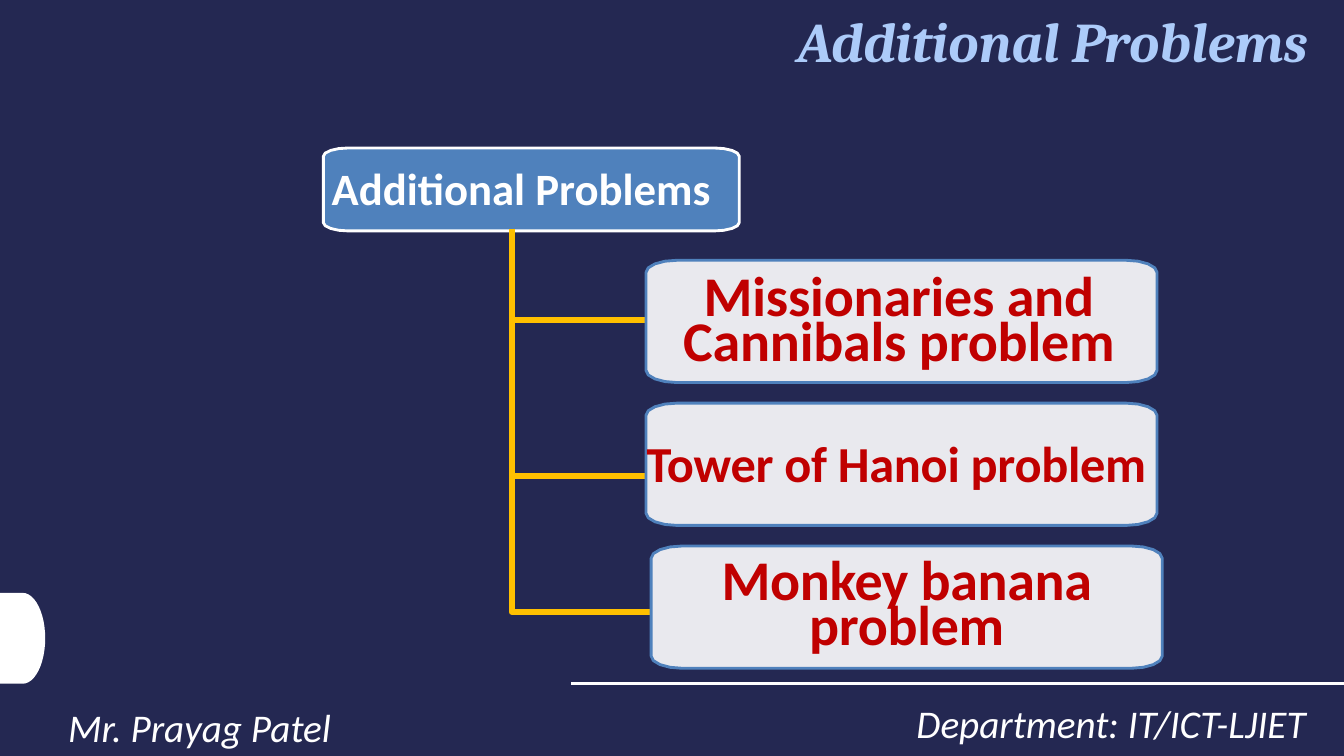
"""Build the Additional Problems slide: a heading box branching to three problems."""
from dataclasses import dataclass
from math import cos, pi, sin

from lxml.etree import SubElement
from pptx import Presentation
from pptx.dml.color import RGBColor
from pptx.enum.shapes import MSO_CONNECTOR, MSO_SHAPE
from pptx.enum.text import MSO_ANCHOR, MSO_AUTO_SIZE, PP_ALIGN
from pptx.oxml.ns import qn
from pptx.util import Cm, Pt

NAVY = RGBColor(0x24, 0x28, 0x52)
WHITE = RGBColor(0xFF, 0xFF, 0xFF)
BLUE = RGBColor(0x4F, 0x81, 0xBC)
AMBER = RGBColor(0xFF, 0xC0, 0x00)
RED = RGBColor(0xC0, 0x00, 0x00)
PALE_BLUE = RGBColor(0xAC, 0xCB, 0xF9)

WIDTH, HEIGHT = 33.87, 19.05
TRUNK_X, TRUNK_TOP = 12.9, 5.77
RULE_Y = 17.22


@dataclass
class Box:
    text: str
    left: float
    top: float
    width: float
    height: float
    size: float
    inset_top: float
    inset_right: float
    fill: RGBColor
    line: RGBColor
    color: RGBColor
    opacity: int = 100
    spacing: float | None = None
    tracking: int = 0


@dataclass
class Problem:
    text: str
    left: float
    size: float
    inset_top: float
    inset_right: float
    branch_y: float
    tracking: int


@dataclass
class Footer:
    text: str
    left: float
    top: float
    width: float
    inset_right: float
    align: PP_ALIGN


PROBLEMS = [
    Problem("Missionaries and Cannibals problem", 16.28, 40, 0.58, 0.13, 8.06, -10),
    Problem("Tower of Hanoi problem", 16.28, 36, 1.12, 0.25, 11.99, -20),
    Problem("Monkey banana problem", 16.41, 40, 0.53, 0, 15.42, -20),
]
FOOTERS = [
    Footer("Department: IT/ICT-LJIET", 20.52, 17.32, 13, 0.61, PP_ALIGN.RIGHT),
    Footer("Mr. Prayag Patel", 1.47, 17.42, 21.64, 0.25, PP_ALIGN.LEFT),
]


def set_text(tf, text: str, size: float, color: RGBColor, align: PP_ALIGN,
             name: str = "Calibri", bold: bool = False, italic: bool = False):
    """Write one formatted paragraph and return it."""
    tf.text = text
    tf.word_wrap = True
    tf.auto_size = MSO_AUTO_SIZE.NONE
    tf.vertical_anchor = MSO_ANCHOR.TOP
    p = tf.paragraphs[0]
    p.alignment = align
    font = p.runs[0].font
    font.name, font.size = name, Pt(size)
    font.bold, font.italic = bold, italic
    font.color.rgb = color
    return p


def add_path(s, points: list[tuple[float, float]], close: bool, color: RGBColor, width: float):
    """Draw a path through points given in centimetres."""
    (x, y), *rest = [(Cm(px), Cm(py)) for px, py in points]
    builder = s.shapes.build_freeform(x, y)
    builder.add_line_segments(rest, close=close)
    sp = builder.convert_to_shape()
    sp.shadow.inherit = False
    sp.fill.background()
    sp.line.color.rgb = color
    sp.line.width = Pt(width)
    return sp


def rounded_outline(box: Box) -> list[tuple[float, float]]:
    """Return the outline of a box with elliptical corners."""
    rx, ry = 0.06 * box.width, 0.1 * box.height
    right, bottom = box.left + box.width - rx, box.top + box.height - ry
    centres = [(right, bottom), (box.left + rx, bottom),
               (box.left + rx, box.top + ry), (right, box.top + ry)]
    return [(cx + rx * cos((i + j / 4) * pi / 2), cy + ry * sin((i + j / 4) * pi / 2))
            for i, (cx, cy) in enumerate(centres) for j in range(5)]


def add_box(s, box: Box) -> None:
    """Draw a rounded box holding its centred text."""
    sp = add_path(s, rounded_outline(box), True, box.line, 2.04)
    sp.fill.solid()
    sp.fill.fore_color.rgb = box.fill
    if box.opacity < 100:
        clr = sp._element.spPr.find(qn("a:solidFill")).find(qn("a:srgbClr"))
        SubElement(clr, qn("a:alpha")).set("val", str(box.opacity * 1000))
    tf = sp.text_frame
    tf.margin_left = tf.margin_bottom = 0
    tf.margin_top, tf.margin_right = Cm(box.inset_top), Cm(box.inset_right)
    p = set_text(tf, box.text, box.size, box.color, PP_ALIGN.CENTER, bold=True)
    if box.spacing:
        p.line_spacing = Pt(box.spacing)
    if box.tracking:
        p.runs[0]._r.get_or_add_rPr().set("spc", str(box.tracking))


def add_problem(s, problem: Problem, row: int) -> None:
    """Draw a branch from the trunk and the problem box at its end."""
    y = problem.branch_y
    add_path(s, [(TRUNK_X, TRUNK_TOP), (TRUNK_X, y), (problem.left, y)], False, AMBER, 4.5)
    add_box(s, Box(problem.text, problem.left, 6.56 + 3.6 * row, 12.88, 3.08, problem.size,
                   problem.inset_top, problem.inset_right, WHITE, BLUE, RED,
                   90, 32, problem.tracking))


def add_footer(s, footer: Footer) -> None:
    """Add one italic footer line."""
    tb = s.shapes.add_textbox(Cm(footer.left), Cm(footer.top), Cm(footer.width), Cm(1.6))
    tb.text_frame.margin_right = Cm(footer.inset_right)
    p = set_text(tb.text_frame, footer.text, 28, WHITE, footer.align, italic=True)
    p.line_spacing = 1.14


def add_title(s) -> None:
    """Place and format the slide title."""
    title = s.shapes.title
    title.left, title.top, title.width, title.height = Cm(5.72), Cm(0.03), Cm(28.09), Cm(2.29)
    title.text_frame.margin_right = Cm(0.86)
    set_text(title.text_frame, "Additional Problems", 40, PALE_BLUE, PP_ALIGN.RIGHT,
             "Cambria", bold=True, italic=True)


def add_decor(s) -> None:
    """Draw the half disc on the left edge and the footer rule."""
    disc = s.shapes.add_shape(MSO_SHAPE.FLOWCHART_DELAY, 0, Cm(14.94), Cm(1.14), Cm(2.29))
    disc.shadow.inherit = False
    disc.fill.solid()
    disc.fill.fore_color.rgb = WHITE
    disc.line.fill.background()
    rule = s.shapes.add_connector(MSO_CONNECTOR.STRAIGHT, Cm(14.4), Cm(RULE_Y),
                                  Cm(WIDTH), Cm(RULE_Y))
    rule.line.color.rgb = WHITE
    rule.line.width = Pt(2)
    SubElement(rule._element.spPr, qn("a:effectLst"))


def main() -> None:
    """Build and save the slide."""
    prs = Presentation()
    prs.slide_width, prs.slide_height = Cm(WIDTH), Cm(HEIGHT)
    s = prs.slides.add_slide(prs.slide_layouts[5])
    s.background.fill.solid()
    s.background.fill.fore_color.rgb = NAVY
    add_title(s)
    add_decor(s)
    add_box(s, Box("Additional Problems", 8.15, 3.73, 10.48, 2.09, 32, 0.33, 0.5,
                   BLUE, WHITE, WHITE))
    for row, problem in enumerate(PROBLEMS):
        add_problem(s, problem, row)
    for footer in FOOTERS:
        add_footer(s, footer)
    prs.save("out.pptx")


if __name__ == "__main__":
    main()
